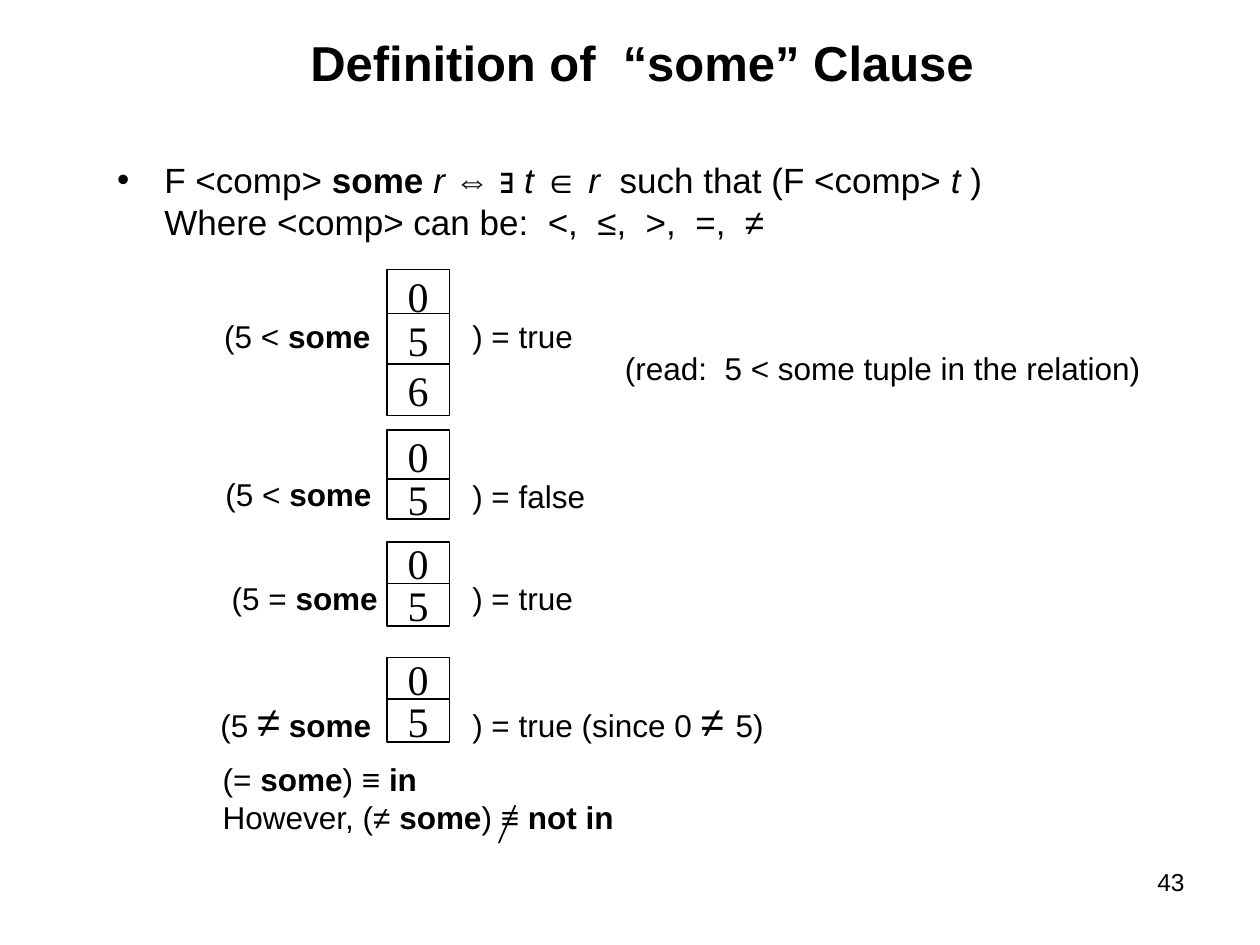
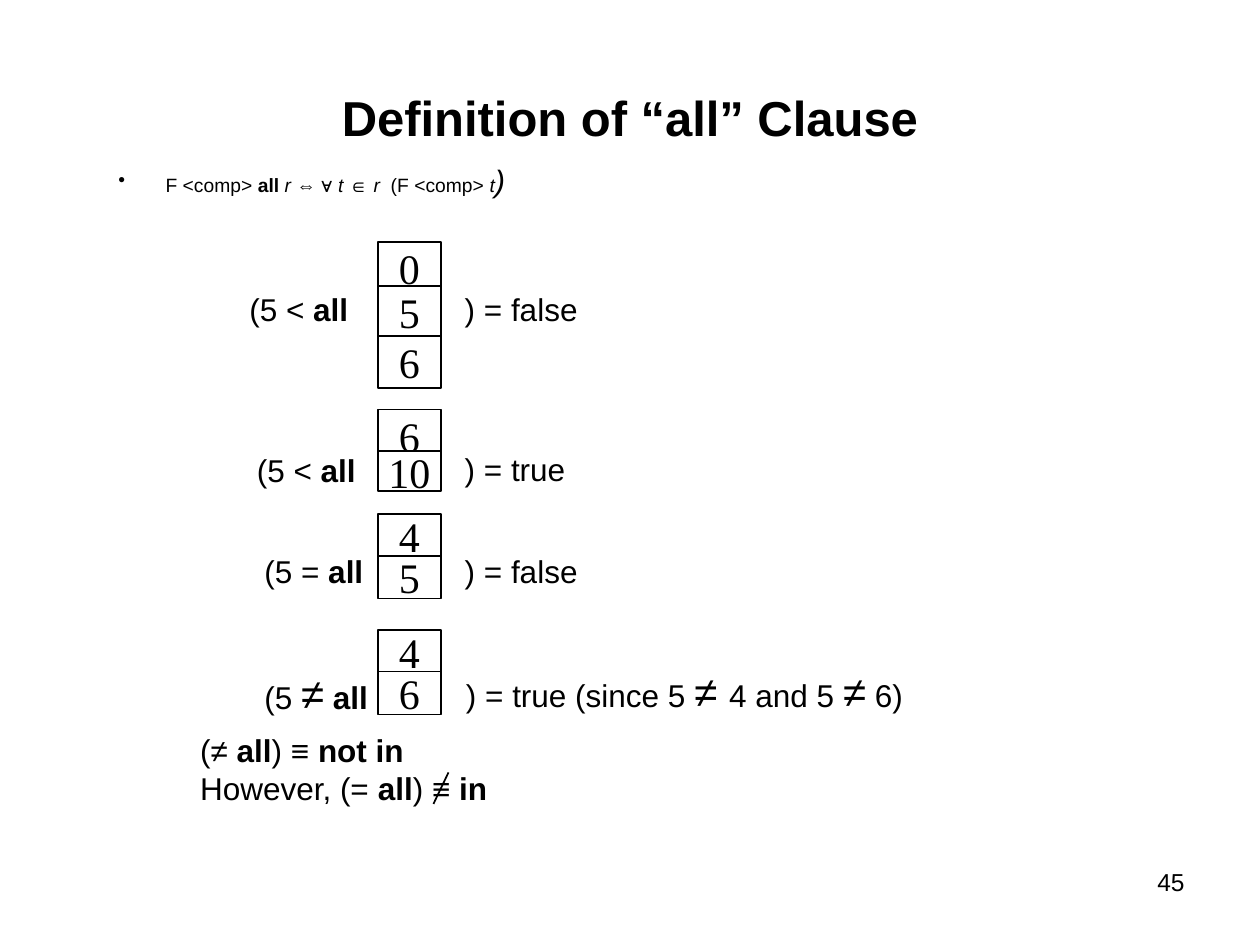
import pptx
import pptx.util
import pptx.dml.color
import pptx.enum.shapes
import pptx.enum.text
import pptx.oxml.ns
import lxml.etree

Pt = pptx.util.Pt
ALIGN = pptx.enum.text.PP_ALIGN
ANCHOR = pptx.enum.text.MSO_ANCHOR
INK, PAPER = "000000", "FFFFFF"
SANS, SERIF = "Arial", "Times New Roman"
CELL_W = 36

# Cell (offset, height) pairs down each stack
TRIO = [(0, 29.5), (25.2, 29.5), (54, 29.5)]
PAIR = [(0, 24.5), (23.8, 24.5)]


def color(code):
    return pptx.dml.color.RGBColor.from_string(code)


def add_tag(parent, tag, **attrs):
    name = pptx.oxml.ns.qn(tag)
    return lxml.etree.SubElement(parent, name, **attrs)


def pieces(markup):
    """Yield (text, bold, italic, large); * _ ^ switch those three styles."""
    marks = "*_^"
    on = [False] * 3
    text = ""
    for char in markup:
        if char in marks or char == "\n":
            if text:
                yield text, *on
            text = ""
            if char == "\n":
                yield char, *on
            else:
                spot = marks.index(char)
                on[spot] = not on[spot]
        else:
            text += char
    if text:
        yield text, *on


def fill_par(par, markup, size, large=24, font=SANS):
    par.font.size = Pt(size)
    for text, bold, slant, big in pieces(markup):
        if text == "\n":
            par.add_line_break()
            continue
        run = par.add_run()
        run.text = text
        run.font.name = font
        run.font.size = Pt(large if big else size)
        run.font.bold, run.font.italic = bold, slant
        run.font.color.rgb = color(INK)


def add_text(slide, box, lines, size, align=ALIGN.LEFT, anchor=ANCHOR.TOP):
    frame = slide.shapes.add_textbox(*map(Pt, box)).text_frame
    frame.word_wrap = True
    frame.vertical_anchor = anchor
    for spot, line in enumerate(lines):
        par = frame.paragraphs[0] if spot == 0 else frame.add_paragraph()
        par.alignment = align
        fill_par(par, line, size)


def add_title(slide, box, text):
    add_text(slide, box, [f"*{text}*"], 28, ALIGN.CENTER, ANCHOR.MIDDLE)


def add_point(slide, box, text, size, large):
    """Bulleted definition with a hanging indent."""
    frame = slide.shapes.add_textbox(*map(Pt, box)).text_frame
    frame.word_wrap = True
    par = frame.paragraphs[0]
    props = par._p.get_or_add_pPr()
    hang = Pt(27)
    props.set("marL", str(hang))
    props.set("indent", str(-hang))
    add_tag(add_tag(props, "a:buClr"), "a:srgbClr", val=INK)
    add_tag(props, "a:buFont", typeface=SANS)
    add_tag(props, "a:buChar", char="•")
    fill_par(par, text, size, large)


def add_stack(slide, left, top, values, rows):
    """One-column relation drawn as stacked cells."""
    for value, (down, high) in zip(values, rows):
        cell = slide.shapes.add_shape(
            pptx.enum.shapes.MSO_SHAPE.RECTANGLE,
            Pt(left), Pt(top + down), Pt(CELL_W), Pt(high))
        cell.shadow.inherit = False
        cell.fill.solid()
        cell.fill.fore_color.rgb = color(PAPER)
        cell.line.color.rgb = color(INK)
        cell.line.width = Pt(1)
        frame = cell.text_frame
        frame.word_wrap = False
        frame.vertical_anchor = ANCHOR.MIDDLE
        frame.paragraphs[0].alignment = ALIGN.CENTER
        fill_par(frame.paragraphs[0], value, 24, font=SERIF)


def add_cases(slide, left, top, cases):
    """Examples: text, stack, text; offsets run from each stack's corner."""
    for down, values, rows, *labels in cases:
        add_stack(slide, left, top + down, values, rows)
        for right, low, wide, text in labels:
            high = 36 if "^" in text else 28.8
            box = left + right, top + down + low, wide, high
            add_text(slide, box, [text], 18)


def add_close(slide, left, top, lines, slash):
    """Closing equivalences; the slash (x, y, width, height) strikes ≡."""
    add_text(slide, (left, top, 535.7, 56.2), lines, 18)
    x, y, wide, high = slash
    x, y = left + x, top + y
    line = slide.shapes.add_connector(
        pptx.enum.shapes.MSO_CONNECTOR.STRAIGHT,
        Pt(x + wide), Pt(y), Pt(x), Pt(y + high))
    line.line.color.rgb = color(INK)
    line.line.width = Pt(1)
    add_tag(line._element.spPr, "a:effectLst")


def add_page(slide, number):
    add_text(slide, (516.2, 491.8, 167.8, 37.4), [number], 14, ALIGN.RIGHT)


def make_some(slide):
    add_title(slide, (49, 11.5, 635.8, 48.2), "Definition of  “some” Clause")
    add_point(
        slide, (59.8, 87.1, 535.7, 56.2),
        "F <comp> *some *_r _⇔ ∃ _t _∈ _r  _such that (F <comp> _t _)\n"
        "Where <comp> can be:  <,  ≤,  >,  =,  ≠", 20, 20)
    add_cases(slide, 221, 154, [
        (0, "056", TRIO, (-100, 23.8, 106.6, "(5 < *some*"),
         (41.8, 23.8, 74, ") = true"),
         (129, 41.8, 383.8, "(read:  5 < some tuple in the relation)")),
        (91.5, "05", [(0, 30.2), (28.1, 23)],
         (-99.3, 22.3, 108.7, "(5 < *some*"),
         (41.8, 23.8, 95.8, ") = false")),
        (155.6, "05", PAIR, (-95.7, 18, 120.2, "(5 = *some*"),
         (41.8, 18, 95.8, ") = true")),
        (221.8, "05", PAIR, (-102.2, 18, 113.8, "(5 ^≠^ *some*"),
         (41.8, 18, 198, ") = true (since 0 ^≠ ^5)")),
    ])
    add_close(slide, 120.2, 430.6,
              ["(= *some*) ≡ *in*", "However, (≠ *some*) ≡ *not in*"],
              (164.9, 29.5, 9.4, 21.6))
    add_page(slide, "43")


def make_all(slide):
    add_title(slide, (36, 21.6, 648, 90), "Definition of “all” Clause")
    add_point(
        slide, (60.5, 88.6, 527, 30.2),
        "F <comp> *all *_r _⇔ ∀ _t _∈ _r _ (F <comp> _t^)^_", 11, 17.6)
    add_cases(slide, 216, 138.2, [
        (0, "056", TRIO, (-80.6, 23.8, 95.8, "(5 < *all*"),
         (42.5, 23.8, 95.8, ") = false")),
        (95.8, ["6", "10"], [(0, 30.2), (23.8, 23)],
         (-76.3, 20.2, 95.8, "(5 < *all*"),
         (42.5, 19.4, 95.8, ") = true")),
        (155.6, "45", PAIR, (-72, 18, 95.8, "(5 = *all*"),
         (42.5, 18, 95.8, ") = false")),
        (221.8, "46", PAIR, (-72, 18, 131.8, "(5 ^≠^ *all*"),
         (43.2, 16.6, 360, ") = true (since 5 ^≠ ^4 and 5 ^≠^ 6)")),
    ])
    add_close(slide, 107.3, 414,
              ["(≠ *all*) ≡ *not in*", "However, (= *all*) ≡ *in*"],
              (140.4, 27.4, 8.6, 18))
    add_page(slide, "45")


def main():
    deck = pptx.Presentation()
    deck.slide_width, deck.slide_height = Pt(720), Pt(540)
    for make in (make_some, make_all):
        make(deck.slides.add_slide(deck.slide_layouts[6]))
    deck.save("out.pptx")


if __name__ == "__main__":
    main()
